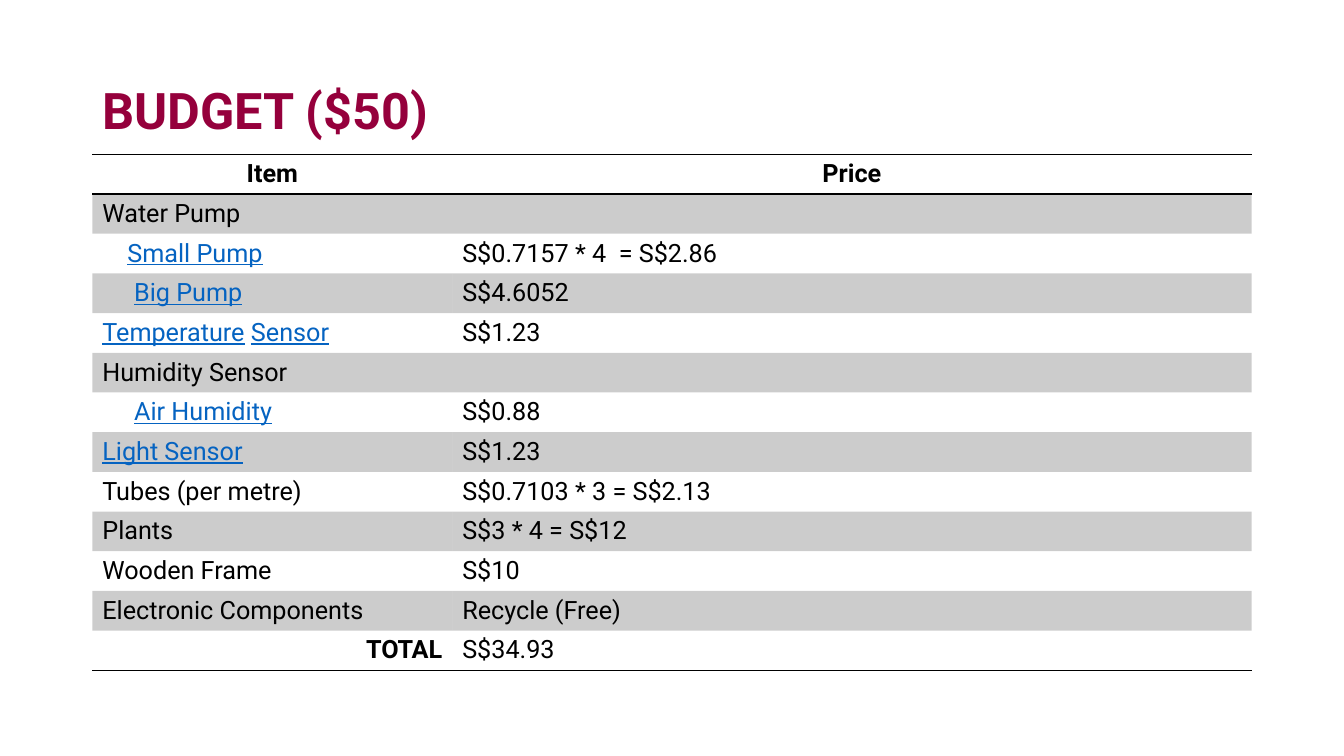
from lxml import etree
from pptx import Presentation
from pptx import util as u
from pptx.dml.color import RGBColor
from pptx.enum import text
from pptx.oxml import ns

COLORS = {"title": "95003C", "ink": "000000", "link": "0563C1"}
FONT = "Roboto"
BAND_OPACITY = 20
CELL_MARGIN = 0.25
ROW_HEIGHT = 1.0
ITEM_WIDTH = 9.07

COSTS = [
    ("Water Pump", None, False, 0),
    ("Small Pump", "S$0.7157 * 4  = S$2.86", True, 0.63),
    ("Big Pump", "S$4.6052", True, 0.8),
    ("Temperature Sensor", "S$1.23", True, 0),
    ("Humidity Sensor", None, False, 0),
    ("Air Humidity", "S$0.88", True, 0.8),
    ("Light Sensor", "S$1.23", True, 0),
    ("Tubes (per metre)", "S$0.7103 * 3 = S$2.13", False, 0),
    ("Plants", "S$3 * 4 = S$12", False, 0),
    ("Wooden Frame", "S$10", False, 0),
    ("Electronic Components", "Recycle (Free)", False, 0),
]


def add_run(paragraph, words, size=18, color="ink", bold=False, underline=False):
    """Append one formatted run to a paragraph."""
    run = paragraph.add_run()
    run.text = words
    run.font.name = FONT
    run.font.size = u.Pt(size)
    run.font.bold = bold
    run.font.underline = underline
    run.font.color.rgb = RGBColor.from_string(COLORS[color])


def write_cell(cell, words, align=text.PP_ALIGN.LEFT, bold=False, linked=False, indent=0):
    """Write a cell, underlining each word separately when it is linked."""
    cell.margin_left = u.Cm(CELL_MARGIN + indent)
    paragraph = cell.text_frame.paragraphs[0]
    paragraph.alignment = align
    if not linked:
        add_run(paragraph, words, bold=bold)
    elif words == "Temperature Sensor":
        temperature, sensor = words.split()
        add_run(paragraph, temperature, color="link", underline=True)
        add_run(paragraph, " ")
        add_run(paragraph, sensor, color="link", underline=True)
    else:
        add_run(paragraph, words, color="link", underline=True)


def shade(cell, banded):
    """Give a cell the translucent band fill or no fill."""
    if not banded:
        cell.fill.background()
        return
    cell.fill.solid()
    cell.fill.fore_color.rgb = RGBColor.from_string(COLORS["ink"])
    tint = cell._tc.tcPr.find(".//" + ns.qn("a:srgbClr"))
    etree.SubElement(tint, ns.qn("a:alpha"), val=str(BAND_OPACITY * 1000))


def rule(cell, sides):
    """Draw one-point lines on the given sides, listed in schema order."""
    properties = cell._tc.get_or_add_tcPr()
    for position, side in enumerate(sides):
        line = etree.Element(ns.qn("a:ln" + side), w=str(u.Pt(1)))
        fill = etree.SubElement(line, ns.qn("a:solidFill"))
        etree.SubElement(fill, ns.qn("a:srgbClr"), val=COLORS["ink"])
        properties.insert(position, line)


def add_title(slide, left, top, width, height):
    """Place the slide heading in its box."""
    frame = slide.shapes.add_textbox(*map(u.Cm, (left, top, width, height))).text_frame
    frame.word_wrap = True
    frame.vertical_anchor = text.MSO_ANCHOR.MIDDLE
    heading = frame.paragraphs[0]
    heading.line_spacing = 0.9
    add_run(heading, "BUDGET ($50)", size=36, color="title", bold=True)


def add_budget(slide, left, top, width):
    """Place the cost table with its header, banded rows and total."""
    count = len(COSTS) + 2
    box = map(u.Cm, (left, top, width, count * ROW_HEIGHT))
    budget = slide.shapes.add_table(count, 2, *box).table
    budget.first_row = budget.horz_banding = False
    style = budget._tbl.tblPr.find(ns.qn("a:tableStyleId"))
    style.text = "{2D5ABB26-0587-4C30-8999-92F81FD0307C}"
    budget.columns[0].width = u.Cm(ITEM_WIDTH)
    budget.columns[1].width = u.Cm(width - ITEM_WIDTH)

    for column, label in enumerate(("Item", "Price")):
        write_cell(budget.cell(0, column), label, text.PP_ALIGN.CENTER, bold=True)
    for row, (item, price, linked, indent) in enumerate(COSTS, 1):
        item_cell, price_cell = budget.cell(row, 0), budget.cell(row, 1)
        write_cell(item_cell, item, linked=linked, indent=indent)
        if price is None:
            item_cell.merge(price_cell)
        else:
            write_cell(price_cell, price)
    write_cell(budget.cell(count - 1, 0), "TOTAL", text.PP_ALIGN.RIGHT, bold=True)
    write_cell(budget.cell(count - 1, 1), "S$34.93")

    for row in range(count):
        for column in range(2):
            shade(budget.cell(row, column), row % 2 == 1)
    for column in range(2):
        rule(budget.cell(0, column), "TB")
        rule(budget.cell(count - 1, column), "B")


def main():
    """Build and save the budget slide."""
    deck = Presentation()
    deck.slide_width, deck.slide_height = u.Cm(33.87), u.Cm(19.05)
    slide = deck.slides.add_slide(deck.slide_layouts[6])
    left, width = 2.33, 29.21
    add_budget(slide, left, 3.89, width)
    add_title(slide, left, 1.01, width, 3.68)
    deck.save("out.pptx")


if __name__ == "__main__":
    main()
